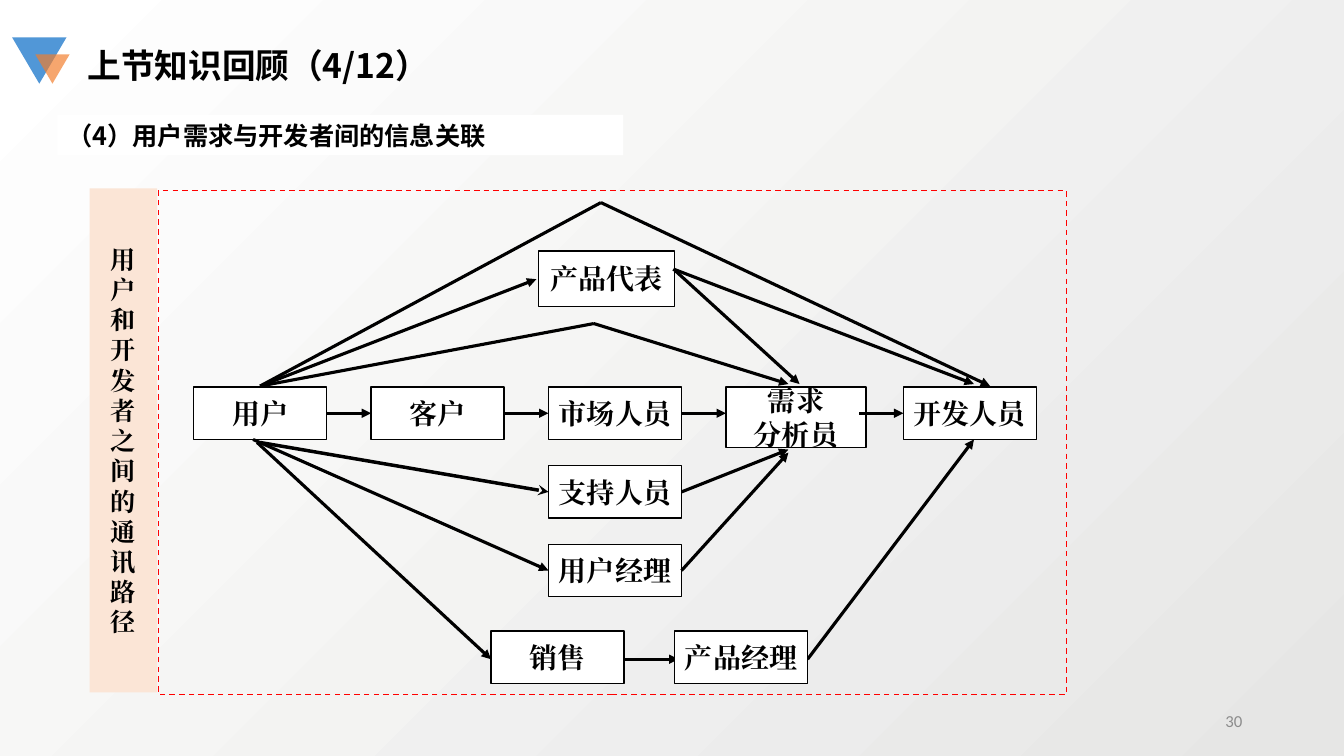
import pptx
import pptx.dml.color
import pptx.enum.dml
import pptx.enum.shapes
import pptx.enum.text
import pptx.oxml.ns
import pptx.util
from lxml import etree

SHAPES = pptx.enum.shapes.MSO_SHAPE
ALIGN = pptx.enum.text.PP_ALIGN
MIDDLE = pptx.enum.text.MSO_ANCHOR.MIDDLE
qn = pptx.oxml.ns.qn

CHINESE_FONT = "Noto Sans CJK SC"
DIAGRAM_FONT = "Times New Roman"
BLACK, WHITE = "000000", "FFFFFF"

# Diagram grid, in cells of the slide grid
FIRST_COLUMN, COLUMN_STEP = 19.2, 17.6
FIRST_ROW, ROW_STEP = 38.4, 7.8
NODE_WIDTH, NODE_HEIGHT = 13.2, 5.2


def color(hex_string):
    return pptx.dml.color.RGBColor.from_string(hex_string)


def cells(count):
    """Length of a number of grid cells; ten cells make one inch."""
    return pptx.util.Inches(count / 10)


def column(index):
    return FIRST_COLUMN + COLUMN_STEP * index


def row(index):
    return FIRST_ROW + ROW_STEP * index


class SlideBuilder:
    def __init__(self, presentation):
        self.slide = presentation.slides.add_slide(presentation.slide_layouts[5])

    def background(self, start, end, angle):
        fill = self.slide.background.fill
        fill.gradient()
        fill.gradient_angle = angle
        for stop, position, hex_string in zip(fill.gradient_stops, (0, 1), (start, end)):
            stop.position = position
            stop.color.rgb = color(hex_string)

    def set_text(self, shape, text, size, font=CHINESE_FONT, align=ALIGN.LEFT,
                 ink=BLACK, bold=True, wrap=True, line_spacing=None):
        frame = shape.text_frame
        frame.text = text
        frame.word_wrap = wrap
        frame.auto_size = pptx.enum.text.MSO_AUTO_SIZE.NONE
        frame.vertical_anchor = MIDDLE
        for paragraph in frame.paragraphs:
            paragraph.alignment = align
            if line_spacing:
                paragraph.line_spacing = pptx.util.Pt(line_spacing)
            paragraph.font.size = pptx.util.Pt(size)
            paragraph.font.bold = bold
            paragraph.font.color.rgb = color(ink)
            paragraph.font.name = font
            etree.SubElement(paragraph.font._element, qn("a:ea"), typeface=font)

    def title(self, text, left, top, width, height):
        shape = self.slide.shapes.title
        shape.left, shape.top = cells(left), cells(top)
        shape.width, shape.height = cells(width), cells(height)
        self.set_text(shape, text, 24)

    def text(self, text, left, top, width, height, size, **style):
        box = self.slide.shapes.add_textbox(*map(cells, (left, top, width, height)))
        self.set_text(box, text, size, **style)

    def shape(self, left, top, width, height, fill=None, line=None,
              kind=SHAPES.RECTANGLE):
        shape = self.slide.shapes.add_shape(kind, *map(cells, (left, top, width, height)))
        shape.shadow.inherit = False
        if fill:
            shape.fill.solid()
            shape.fill.fore_color.rgb = color(fill)
        else:
            shape.fill.background()
        if line:
            shape.line.color.rgb = color(line)
            shape.line.width = pptx.util.Pt(1)
        else:
            shape.line.fill.background()
        return shape

    def triangle(self, left, top, width, height, fill, opacity=100):
        shape = self.shape(left, top, width, height, fill, kind=SHAPES.ISOSCELES_TRIANGLE)
        shape.rotation = 180
        if opacity < 100:
            fill_color = shape._element.spPr.find(".//" + qn("a:srgbClr"))
            etree.SubElement(fill_color, qn("a:alpha"), val=str(opacity * 1000))

    def node(self, text, left, top, width=NODE_WIDTH, height=NODE_HEIGHT):
        shape = self.shape(left, top, width, height, WHITE, BLACK)
        self.set_text(shape, text, 20, DIAGRAM_FONT, ALIGN.CENTER, wrap=False)

    def line(self, start, end, head="triangle", width=2.25):
        connector = self.slide.shapes.add_connector(
            pptx.enum.shapes.MSO_CONNECTOR.STRAIGHT, *map(cells, start + end))
        connector.line.color.rgb = color(BLACK)
        connector.line.width = pptx.util.Pt(width)
        properties = connector._element.spPr
        if head:
            etree.SubElement(properties.find(qn("a:ln")), qn("a:tailEnd"), type=head)
        etree.SubElement(properties, qn("a:effectLst"))


def main():
    presentation = pptx.Presentation()
    presentation.slide_width = pptx.util.Inches(13.33)
    presentation.slide_height = pptx.util.Inches(7.5)
    builder = SlideBuilder(presentation)

    builder.background("E6E6E5", WHITE, 135)
    builder.triangle(1.2, 3.7, 5.4, 4.6, "5197D7")
    builder.triangle(3.5, 5.4, 3.4, 2.9, "F37D2A", opacity=68)
    builder.text("30", 94.2, 69.5, 30, 4, 12, font="Calibri", align=ALIGN.RIGHT,
                 ink="8C8C8C", bold=False)
    builder.title("上节知识回顾（4/12）", 7.7, 4, 57.8, 5)
    heading = builder.shape(5.7, 11.4, 56.1, 4, WHITE)
    builder.set_text(heading, "（4）用户需求与开发者间的信息关联", 18)

    for index, name in enumerate(("用户", "客户", "市场人员")):
        builder.node(name, column(index), row(0))
    builder.node("需求\n分析员", column(3), row(0), 13.9, 6)
    builder.node("开发人员", column(4), row(0))
    builder.node("产品代表", 53.4, 24.9, 13.5, 5.5)
    for index, name in enumerate(("支持人员", "用户经理"), start=1):
        builder.node(name, column(2), row(index))
    builder.node("销售", 48.7, 62.6)

    middle = row(0) + NODE_HEIGHT / 2
    for index in range(4):
        builder.line((column(index) + NODE_WIDTH, middle), (column(index + 1), middle))

    user_top = (25.8, 38.3)
    representative = (66.8, 26.7)
    upper_peak, lower_peak = (59.6, 20.1), (58.9, 32.1)
    arrows = (
        ((25.1, 43.6), (54.4, 56.6)),
        ((25.5, 43.9), (48.7, 65.4)),
        ((67.6, 48.8), (78.2, 44.6)),
        ((61.8, 65.4), (67.3, 65.4)),
        ((67.6, 56.6), (78.2, 44.9)),
        ((80.1, 65.4), (96.6, 43.6)),
        (user_top, (53.2, 27.7)),
        (representative, (79.3, 38.1)),
        (representative, (96.6, 38.1)),
        (upper_peak, (98.2, 38.3)),
        (lower_peak, (78.2, 38.1)),
    )
    builder.line((25.8, 43.9), (54.4, 48.8), "stealth", 2.5)
    for start, end in arrows:
        builder.line(start, end)
    for peak in (upper_peak, lower_peak):
        builder.line(user_top, peak, head=None)
    builder.node("产品经理", 66.9, 62.6)

    frame = builder.shape(15.7, 18.9, 90.1, 50, line="FF0000")
    frame.line.dash_style = pptx.enum.dml.MSO_LINE.DASH
    band = builder.shape(8.9, 18.7, 6.7, 50, "FBE5D6")
    builder.set_text(band, "用户和开发者之间的通讯路径", 18, DIAGRAM_FONT, ALIGN.CENTER,
                     line_spacing=21.6)

    presentation.save("out.pptx")


if __name__ == "__main__":
    main()
